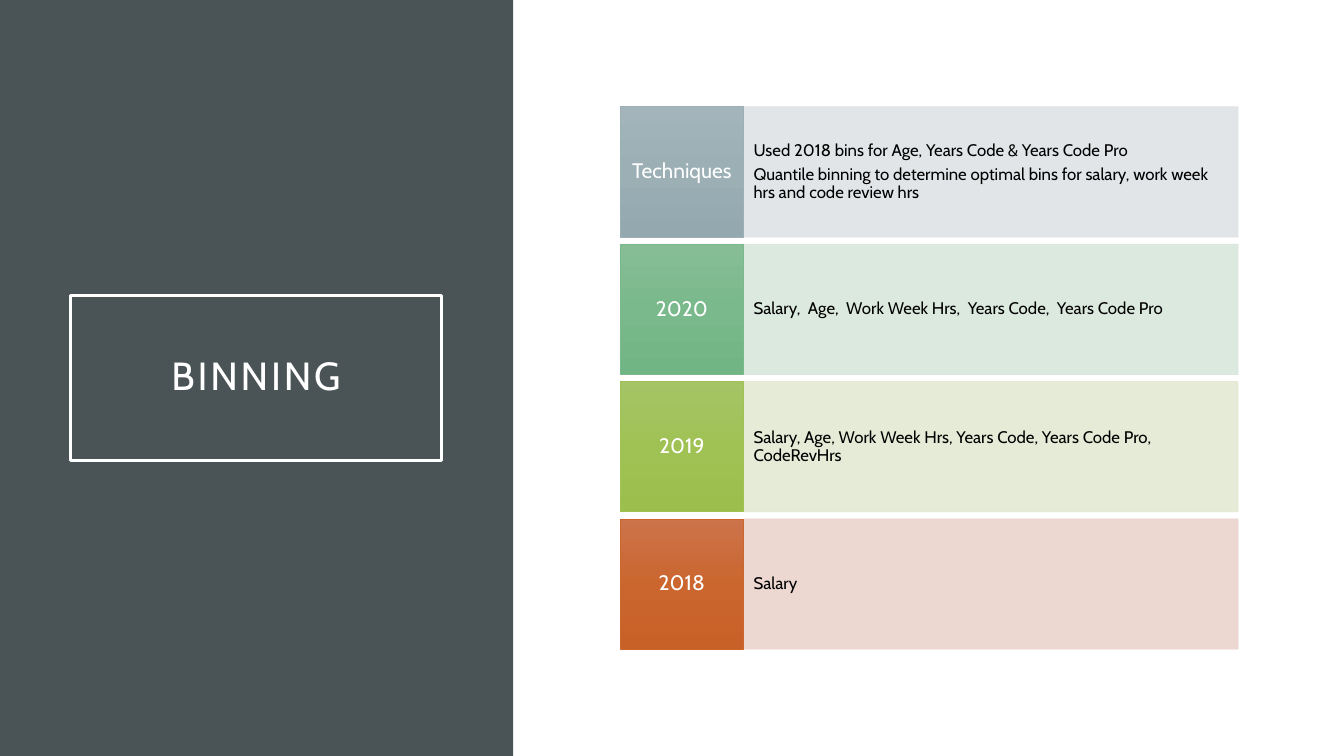
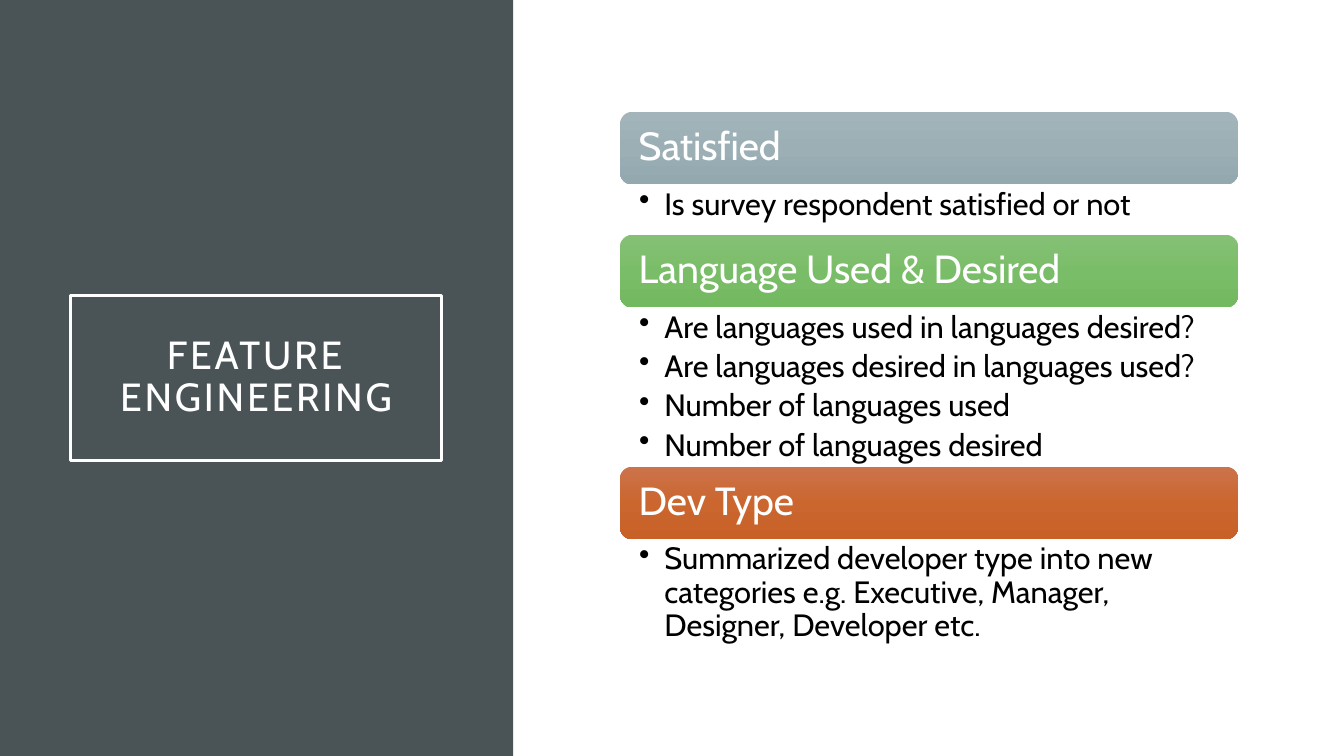
from copy import deepcopy

from lxml import etree
from pptx import Presentation
from pptx.dml.color import RGBColor
from pptx.enum.shapes import MSO_SHAPE
from pptx.enum.text import MSO_ANCHOR, PP_ALIGN
from pptx.oxml.ns import qn
from pptx.util import Inches, Pt

RECTANGLE, ROUNDED = MSO_SHAPE.RECTANGLE, MSO_SHAPE.ROUNDED_RECTANGLE
LEFT, CENTER = PP_ALIGN.LEFT, PP_ALIGN.CENTER
TOP, MIDDLE = MSO_ANCHOR.TOP, MSO_ANCHOR.MIDDLE

FONT = "Cabin"
WHITE = RGBColor(0xFF, 0xFF, 0xFF)
BLACK = RGBColor(0x00, 0x00, 0x00)
PANEL = RGBColor(0x4A, 0x53, 0x56)
# Gradients run from top to bottom.
GRAY = [RGBColor(0xA3, 0xB5, 0xBB), RGBColor(0x9B, 0xAF, 0xB5), RGBColor(0x93, 0xA9, 0xAF)]
TEAL = [RGBColor(0x86, 0xBD, 0x95), RGBColor(0x7A, 0xB9, 0x8B), RGBColor(0x72, 0xB5, 0x84)]
LIME = [RGBColor(0xA5, 0xC4, 0x66), RGBColor(0xA0, 0xC2, 0x55), RGBColor(0x9B, 0xBE, 0x4D)]
GREEN = [RGBColor(0x85, 0xC0, 0x76), RGBColor(0x7A, 0xBD, 0x68), RGBColor(0x73, 0xB9, 0x60)]
ORANGE = [RGBColor(0xCC, 0x73, 0x4B), RGBColor(0xCB, 0x66, 0x2F), RGBColor(0xC8, 0x61, 0x28)]
PALE_GRAY = RGBColor(0xDE, 0xE3, 0xE5)
PALE_TEAL = RGBColor(0xD9, 0xE7, 0xDC)
PALE_LIME = RGBColor(0xE4, 0xE9, 0xD3)
PALE_ORANGE = RGBColor(0xEB, 0xD3, 0xCD)

# Label, gradient, pale colour, details
BINNING_ROWS = [
    ("Techniques", GRAY, PALE_GRAY, [
        "Used 2018 bins for Age, Years Code & Years Code Pro",
        "Quantile binning to determine optimal bins for salary, work week hrs "
        "and code review hrs",
    ]),
    ("2020", TEAL, PALE_TEAL, ["Salary,  Age,  Work Week Hrs,  Years Code,  Years Code Pro"]),
    ("2019", LIME, PALE_LIME, [
        "Salary, Age, Work Week Hrs, Years Code, Years Code Pro, CodeRevHrs",
    ]),
    ("2018", ORANGE, PALE_ORANGE, ["Salary"]),
]
# Heading, gradient, height of the bullet area, bullets
FEATURES = [
    ("Satisfied", GRAY, 0.5, ["Is survey respondent satisfied or not"]),
    ("Language Used & Desired", GREEN, 1.58, [
        "Are languages used in languages desired?",
        "Are languages desired in languages used?",
        "Number of languages used",
        "Number of languages desired",
    ]),
    ("Dev Type", ORANGE, 1.05, [
        "Summarized developer type into new categories e.g. Executive, Manager, "
        "Designer, Developer etc.",
    ]),
]

SLIDE_WIDTH, SLIDE_HEIGHT = 13.33, 7.5
PANEL_WIDTH = 5.09
TITLE_BOX = (0.7, 2.93, 3.68, 1.64)
CONTENT_LEFT, CONTENT_WIDTH = 6.15, 6.13
ROWS_TOP, ROWS_HEIGHT, ROW_GAP = 1.06, 5.38, 0.07
LABEL_SHARE = 0.2
FEATURES_TOP, HEADING_HEIGHT = 1.11, 0.72


def add_box(slide, box, color=None, outline=None, outline_width=0.5, kind=RECTANGLE):
    """Add a shape without shadow; missing colours mean no fill or no line."""
    shape = slide.shapes.add_shape(kind, *map(Inches, box))
    shape.shadow.inherit = False
    if color is None:
        shape.fill.background()
    else:
        shape.fill.solid()
        shape.fill.fore_color.rgb = color
    if outline is None:
        shape.line.fill.background()
    else:
        shape.line.color.rgb = outline
        shape.line.width = Pt(outline_width)
    return shape


def fill_gradient(shape, colors):
    """Fill a shape with three colours from top to bottom."""
    shape.fill.gradient()
    shape.fill.gradient_angle = 270
    stop_list = shape._element.spPr.find(qn("a:gradFill")).find(qn("a:gsLst"))
    stop_list.insert(1, deepcopy(stop_list[0]))
    for index, (stop, color) in enumerate(zip(shape.fill.gradient_stops, colors)):
        stop.position = index / 2
        stop.color.rgb = color


def set_opacity(shape, percent):
    """Make the fill and line colours of a shape partly transparent."""
    for color in shape._element.spPr.iter(qn("a:srgbClr")):
        etree.SubElement(color, qn("a:alpha"), val=str(percent * 1000))


def add_bullet(paragraph):
    """Give a paragraph a hanging bullet."""
    properties = paragraph._p.get_or_add_pPr()
    properties.set("marL", str(Inches(0.25)))
    properties.set("indent", str(-Inches(0.25)))
    etree.SubElement(properties, qn("a:buChar"), char="•")


def write(shape, lines, size, color, margins, align=LEFT, anchor=MIDDLE,
          space_after=0.35, spacing=None, bullets=False):
    """Write one paragraph per line; space_after is a share of the text size."""
    frame = shape.text_frame
    frame.word_wrap = True
    frame.vertical_anchor = anchor
    (frame.margin_left, frame.margin_top,
     frame.margin_right, frame.margin_bottom) = map(Inches, margins)
    for index, line in enumerate(lines):
        paragraph = frame.add_paragraph() if index else frame.paragraphs[0]
        paragraph.alignment = align
        paragraph.line_spacing = 0.9
        paragraph.space_after = Pt(size * space_after)
        if bullets:
            add_bullet(paragraph)
        run = paragraph.add_run()
        run.text = line
        run.font.name = FONT
        run.font.size = Pt(size)
        run.font.color.rgb = color
        if spacing:
            run._r.get_or_add_rPr().set("spc", str(spacing * 100))


def add_titled_slide(presentation, title):
    """Add a blank slide with the dark side panel and its framed title."""
    slide = presentation.slides.add_slide(presentation.slide_layouts[6])
    add_box(slide, (0, 0, PANEL_WIDTH, SLIDE_HEIGHT), PANEL)
    frame = add_box(slide, TITLE_BOX, outline=WHITE, outline_width=2.5)
    write(frame, [title], 28, WHITE, [0.2] * 4, CENTER, space_after=0, spacing=2)
    return slide


def add_binning_rows(slide):
    """Stack equal rows, each a coloured label beside a pale detail box."""
    count = len(BINNING_ROWS)
    height = (ROWS_HEIGHT - ROW_GAP * (count - 1)) / count
    label_width = CONTENT_WIDTH * LABEL_SHARE
    for index, (label, gradient, pale, details) in enumerate(BINNING_ROWS):
        top = ROWS_TOP + index * (height + ROW_GAP)
        detail_box = add_box(slide, (CONTENT_LEFT + label_width, top,
                                     CONTENT_WIDTH - label_width, height), pale, pale)
        set_opacity(detail_box, 90)
        write(detail_box, details, 12, BLACK, (0.1, 0.33, 0.1, 0.33))
        label_box = add_box(slide, (CONTENT_LEFT, top, label_width, height),
                            outline=gradient[1])
        fill_gradient(label_box, gradient)
        write(label_box, [label], 15, WHITE, (0.06, 0.13, 0.06, 0.13), CENTER)


def add_features(slide):
    """Stack rounded headings, each followed by its bullets."""
    top = FEATURES_TOP
    for heading, gradient, height, bullets in FEATURES:
        bar = add_box(slide, (CONTENT_LEFT, top, CONTENT_WIDTH, HEADING_HEIGHT), kind=ROUNDED)
        fill_gradient(bar, gradient)
        write(bar, [heading], 28, WHITE, (0.15, 0.12, 0.15, 0.12))
        top += HEADING_HEIGHT
        bullet_box = slide.shapes.add_textbox(
            *map(Inches, (CONTENT_LEFT, top, CONTENT_WIDTH, height)))
        write(bullet_box, bullets, 22, BLACK, (0.19, 0.04, 0.22, 0.04),
              anchor=TOP, space_after=0.2, bullets=True)
        top += height


presentation = Presentation()
presentation.slide_width = Inches(SLIDE_WIDTH)
presentation.slide_height = Inches(SLIDE_HEIGHT)
add_binning_rows(add_titled_slide(presentation, "BINNING"))
add_features(add_titled_slide(presentation, "FEATURE ENGINEERING"))
presentation.save("out.pptx")
